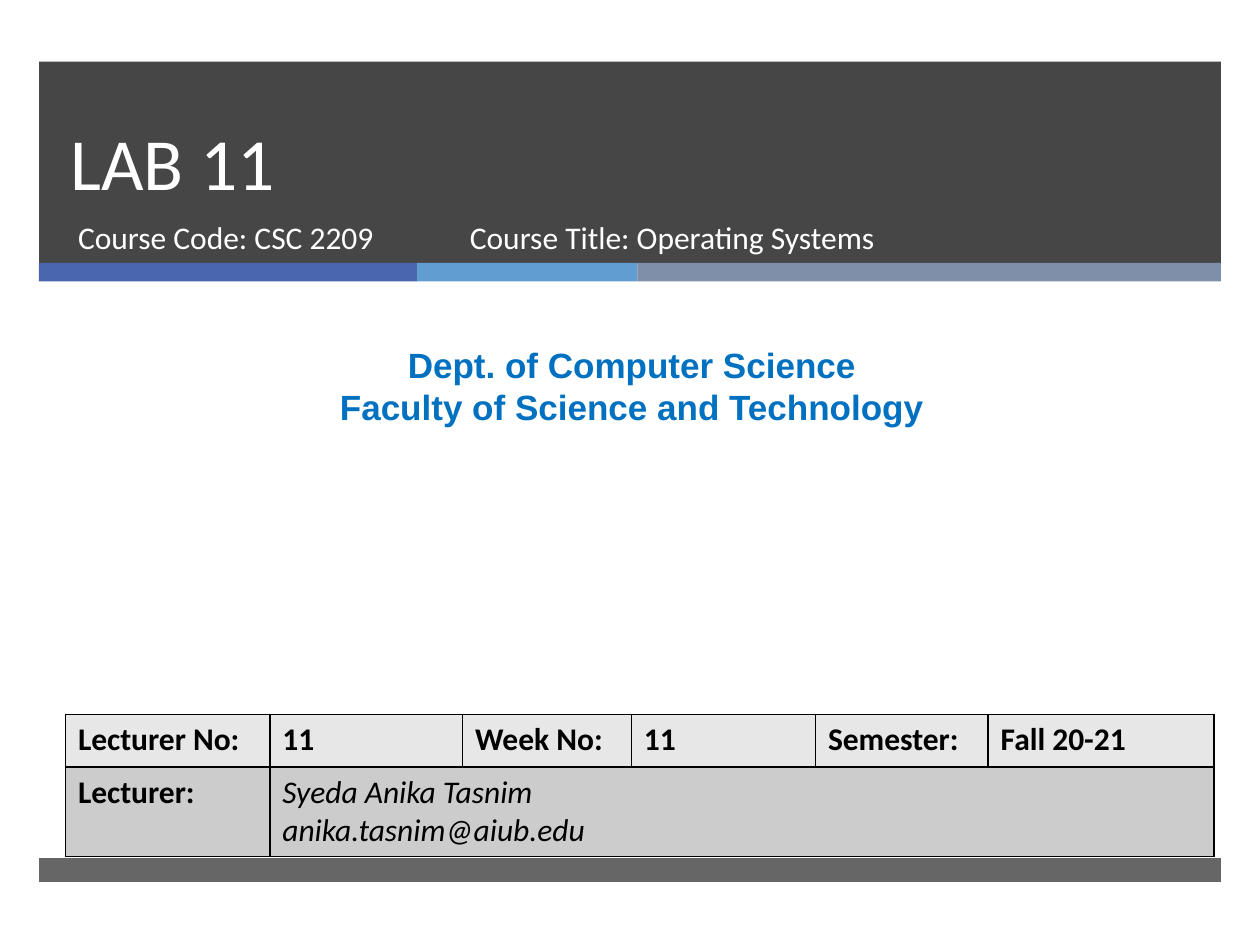
"""Build the cover slide of a lab lecture on operating systems."""
from dataclasses import dataclass
from itertools import accumulate
from typing import Optional

from lxml import etree
from pptx import Presentation
from pptx.dml.color import RGBColor
from pptx.enum import shapes, text
from pptx.oxml import ns
from pptx.util import Pt

WHITE = RGBColor(0xFF, 0xFF, 0xFF)
BLACK = RGBColor(0, 0, 0)
CHARCOAL = RGBColor(0x26, 0x26, 0x26)
INDIGO = RGBColor(0x4A, 0x66, 0xAC)
SKY = RGBColor(0x62, 0x9D, 0xD1)
SLATE = RGBColor(0x7F, 0x8F, 0xA9)
HEADING_BLUE = RGBColor(0x00, 0x70, 0xC0)
LIGHT_GREY = RGBColor(0xE7, 0xE7, 0xE7)
MID_GREY = RGBColor(0xCC, 0xCC, 0xCC)

MARGIN = 22.3
BAND_WIDTHS = (216, 126, 333.4)
FULL_WIDTH = sum(BAND_WIDTHS)
COLUMN_WIDTHS = (116.8, 110.1, 96.5, 105.2, 98.7, 129.1)
ROW_HEIGHTS = (30, 50)
DETAILS = (
    ("Lecturer No:", "11", "Week No:", "11", "Semester:", "Fall 20-21"),
    ("Lecturer:", "Syeda Anika Tasnim\nanika.tasnim@aiub.edu"),
)


@dataclass(frozen=True)
class Bar:
    left: float
    top: float
    width: float
    height: float
    color: RGBColor
    opacity: int = 100


@dataclass(frozen=True)
class Style:
    size: float
    color: RGBColor
    name: str = "Calibri"
    bold: bool = False
    italic: bool = False


def draw_bar(slide, bar: Bar) -> None:
    """Draw one borderless bar."""
    shape = slide.shapes.add_shape(
        shapes.MSO_SHAPE.RECTANGLE, Pt(bar.left), Pt(bar.top), Pt(bar.width), Pt(bar.height))
    shape.shadow.inherit = False
    shape.line.fill.background()
    shape.fill.solid()
    shape.fill.fore_color.rgb = bar.color
    if bar.opacity < 100:
        color = shape.element.spPr.find(".//" + ns.qn("a:srgbClr"))
        etree.SubElement(color, ns.qn("a:alpha"), val=str(bar.opacity * 1000))


def write(text_frame, content: str, style: Style,
          alignment=text.PP_ALIGN.LEFT, line_spacing: Optional[float] = None) -> None:
    """Fill a text frame and format its runs."""
    text_frame.text = content
    for paragraph in text_frame.paragraphs:
        paragraph.alignment = alignment
        paragraph.space_before = Pt(0)
        if line_spacing:
            paragraph.line_spacing = Pt(line_spacing)
        for run in paragraph.runs:
            font = run.font
            font.size, font.name = Pt(style.size), style.name
            font.bold, font.italic = style.bold, style.italic
            font.color.rgb = style.color


def place(shape, left: float, top: float, width: float, height: float, anchor) -> None:
    """Move a text shape to the front and set its box."""
    shape.left, shape.top, shape.width, shape.height = map(Pt, (left, top, width, height))
    shape.text_frame.word_wrap = True
    shape.text_frame.auto_size = text.MSO_AUTO_SIZE.NONE
    shape.text_frame.vertical_anchor = anchor
    shape.element.getparent().append(shape.element)


def format_cell(cell, color: RGBColor) -> None:
    """Give a cell black borders and a plain fill."""
    properties = cell._tc.get_or_add_tcPr()
    for side in ("lnL", "lnR", "lnT", "lnB"):
        line = etree.SubElement(properties, ns.qn(f"a:{side}"), w=str(Pt(1)))
        fill = etree.SubElement(line, ns.qn("a:solidFill"))
        etree.SubElement(fill, ns.qn("a:srgbClr"), val=str(BLACK))
    cell.fill.solid()
    cell.fill.fore_color.rgb = color


def draw_details(slide) -> None:
    """Draw the table of lecture details."""
    table = slide.shapes.add_table(
        len(ROW_HEIGHTS), len(COLUMN_WIDTHS), Pt(37.4), Pt(408.2),
        Pt(sum(COLUMN_WIDTHS)), Pt(sum(ROW_HEIGHTS))).table
    table.first_row = table.horz_banding = False
    for column, width in zip(table.columns, COLUMN_WIDTHS):
        column.width = Pt(width)
    for row, height, contents, color in zip(
            table.rows, ROW_HEIGHTS, DETAILS, (LIGHT_GREY, MID_GREY)):
        row.height = Pt(height)
        for cell in row.cells:
            format_cell(cell, color)
        for cell, content in zip(row.cells, contents):
            write(cell.text_frame, content, Style(18, BLACK, bold=True))
    lecturer = table.cell(1, 1)
    lecturer.merge(table.cell(1, len(COLUMN_WIDTHS) - 1))
    write(lecturer.text_frame, DETAILS[1][1], Style(18, BLACK, italic=True))


def main() -> None:
    """Build and save the slide."""
    presentation = Presentation()
    presentation.slide_width, presentation.slide_height = Pt(720), Pt(540)
    slide = presentation.slides.add_slide(presentation.slide_layouts[0])

    draw_bar(slide, Bar(MARGIN, 35.2, FULL_WIDTH, 115.4, CHARCOAL, 85))
    lefts = accumulate(BAND_WIDTHS, initial=MARGIN)
    for left, width, color in zip(lefts, BAND_WIDTHS, (INDIGO, SKY, SLATE)):
        draw_bar(slide, Bar(left, 150.3, width, 10.6, color))
    draw_bar(slide, Bar(MARGIN, 490.3, FULL_WIDTH, 13.7, CHARCOAL, 70))

    title, course_code = slide.shapes.title, slide.placeholders[1]
    top, bottom = text.MSO_ANCHOR.TOP, text.MSO_ANCHOR.BOTTOM
    place(title, 33.1, 35.2, 615, 85.7, bottom)
    write(title.text_frame, "LAB 11", Style(42, WHITE), line_spacing=46)
    place(course_code, 37.4, 121, 219.6, 38.2, top)
    write(course_code.text_frame, "Course Code: CSC 2209", Style(18, WHITE))

    department = slide.shapes.add_textbox(0, 0, 0, 0)
    place(department, 5.8, 193, 710.6, 55.4, top)
    write(department.text_frame,
          "Dept. of Computer Science\nFaculty of Science and Technology",
          Style(20, HEADING_BLUE, "Arial", bold=True), text.PP_ALIGN.CENTER)
    draw_details(slide)
    course_title = slide.shapes.add_textbox(0, 0, 0, 0)
    place(course_title, 261.4, 121.2, 327.6, 38.2, top)
    write(course_title.text_frame, "Course Title: Operating Systems", Style(18, WHITE))

    presentation.save("out.pptx")


if __name__ == "__main__":
    main()
